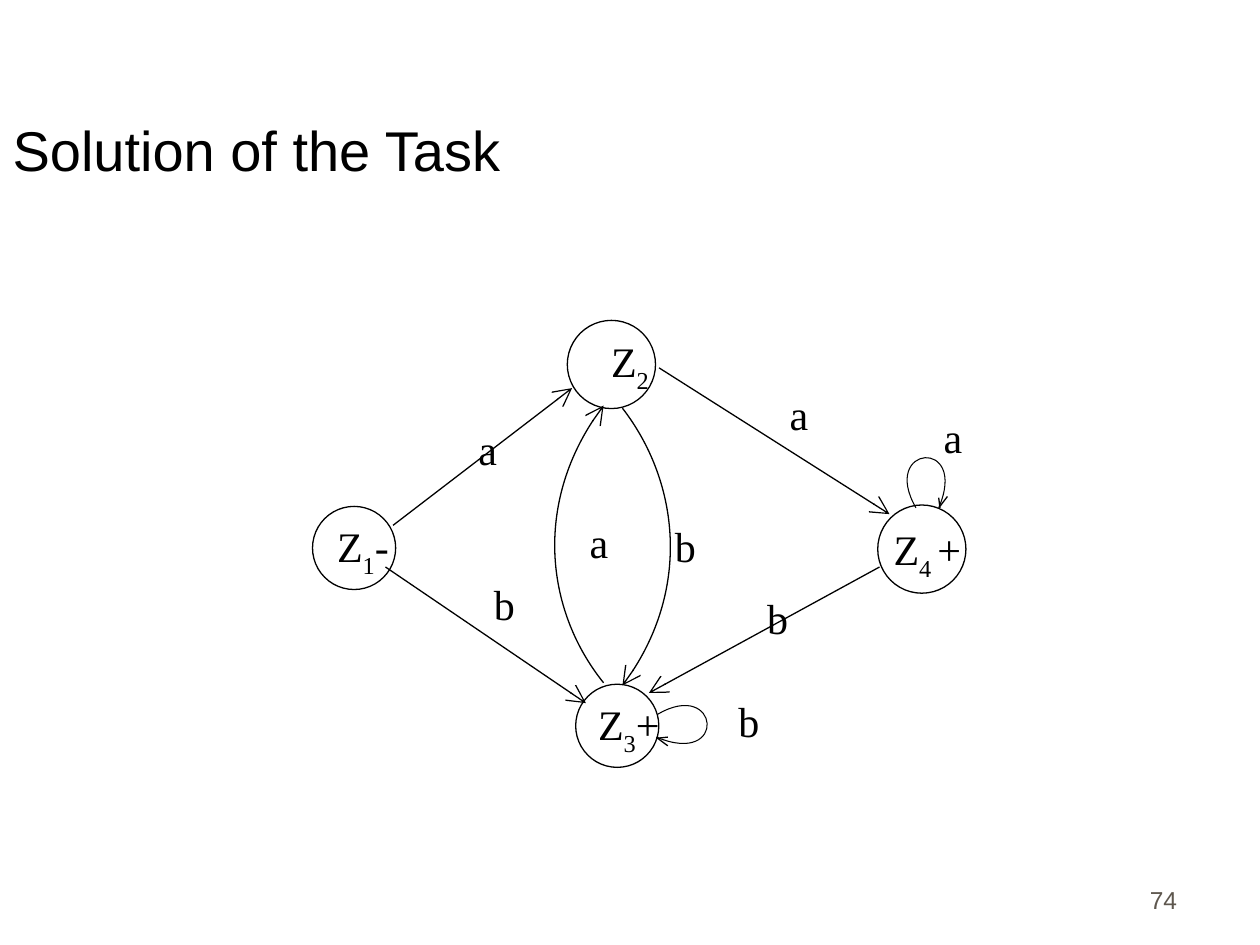
from lxml import etree
from pptx import Presentation
from pptx import util as u
from pptx.dml.color import RGBColor
from pptx.enum import shapes, text
from pptx.oxml import ns

COLORS = {"ink": "000000", "paper": "FFFFFF", "number": "5E574E"}
SERIF, SANS = "Times New Roman", "Arial"

# States: circle left, top, diameter; label left, top; (text, is subscript) spans
STATES = [
    (178.6, 289.4, 47.5, 179.3, 293.8, [("Z", False), ("1", True), ("-", False)]),
    (324.2, 183.1, 50.4, 331.9, 187.9, [("Z", False), ("2", True)]),
    (329, 391, 47.5, 331.2, 395.5, [("Z", False), ("3", True), ("+", False)]),
    (501.6, 288.6, 50.4, 501.8, 295.5, [("Z", False), ("4 ", True), ("+", False)]),
]
# Straight transitions: from, to
STRAIGHT = [
    ((376.6, 210.2), (508.3, 293.8)),
    ((224.6, 300.2), (326.9, 221.8)),
    ((220.3, 324), (334.8, 401.8)),
    ((502.6, 324), (370.8, 396)),
]
# Curved transitions between Z2 and Z3: cubic control points
CURVED = [
    [(344.9, 390.2), (312.5, 349.9), (304.6, 284.4), (344.9, 231.8)],
    [(355.7, 233.3), (387.4, 274.3), (395.3, 339.8), (355.7, 391.7)],
]
# Loops: cubic control points, then the two strokes of the arrowhead
LOOPS = [
    ([(375.8, 408.2), (411.1, 387.4), (416.2, 438.5), (375.1, 421.2)],
     [[(375.8, 421.9), (381.6, 426.2)], [(381.6, 421.2), (375.1, 421.9)]]),
    ([(523.4, 290.2), (502.6, 254.2), (553.7, 249.8), (536.4, 290.2)],
     [[(537.1, 289.4), (541.4, 283.7)], [(536.4, 284.4), (537.1, 290.2)]]),
]
# Transition labels: text, left, top
LABELS = [
    ("a", 314.1, 291.6), ("a", 428.4, 218.2), ("a", 516.4, 231.4),
    ("a", 250.6, 238.5), ("b", 260.1, 326.9), ("b", 363.6, 293.8),
    ("b", 399.8, 394.1), ("b", 416.2, 334.8),
]
LABEL_WIDTH, LABEL_HEIGHT, STATE_HEIGHT = 56.2, 36, 41


def color(name):
    return RGBColor.from_string(COLORS[name])


def style_line(shape, width=0.75, arrow=False):
    shape.line.color.rgb = color("ink")
    shape.line.width = u.Pt(width)
    if arrow:
        outline = shape.line._get_or_add_ln()
        etree.SubElement(outline, ns.qn("a:tailEnd"), type="arrow", w="lg", len="lg")


def add_path(parent, points, width=0.75, arrow=False):
    """Draw a line through two points, or a cubic curve through four."""
    start, *rest = [(u.Pt(x), u.Pt(y)) for x, y in points]
    builder = parent.shapes.build_freeform(*start)
    builder.add_line_segments(rest, close=False)
    outline = builder.convert_to_shape()
    if len(rest) == 3:
        segments = list(outline._element.iter(ns.qn("a:lnTo")))
        curve = etree.SubElement(segments[0].getparent(), ns.qn("a:cubicBezTo"))
        for segment in segments:
            curve.append(segment[0])
            segment.getparent().remove(segment)
    outline.shadow.inherit = False
    outline.fill.background()
    style_line(outline, width, arrow)


def add_text(page, spans, place, size, font, ink, align, anchor=text.MSO_ANCHOR.TOP):
    box = page.shapes.add_textbox(*map(u.Pt, place))
    box.text_frame.word_wrap = True
    box.text_frame.vertical_anchor = anchor
    para = box.text_frame.paragraphs[0]
    para.alignment = align
    para.font.size = u.Pt(size)
    para.font.name = font
    para.font.color.rgb = color(ink)
    for words, subscript in spans:
        span = para.add_run()
        span.text = words
        if subscript:
            span._r.get_or_add_rPr().set("baseline", "-30000")


def add_label(page, spans, left, top, height):
    add_text(page, spans, (left, top, LABEL_WIDTH, height), 24, SERIF, "ink",
             text.PP_ALIGN.CENTER)


def main():
    deck = Presentation()
    deck.slide_width, deck.slide_height = u.Pt(720), u.Pt(540)
    page = deck.slides.add_slide(deck.slide_layouts[5])

    # Title
    title = page.shapes.title
    title.left, title.top, title.width, title.height = map(u.Pt, (0, 18, 612, 90))
    title.text = "Solution of the Task"
    title.text_frame.vertical_anchor = text.MSO_ANCHOR.BOTTOM
    title.text_frame.auto_size = text.MSO_AUTO_SIZE.NONE
    para = title.text_frame.paragraphs[0]
    para.alignment = text.PP_ALIGN.LEFT
    para.font.size, para.font.name = u.Pt(32), SANS
    para.font.color.rgb = color("ink")

    # State circles
    for left, top, diameter, *_ in STATES:
        circle = page.shapes.add_shape(shapes.MSO_SHAPE.OVAL,
                                       *map(u.Pt, (left, top, diameter, diameter)))
        circle.shadow.inherit = False
        circle.fill.solid()
        circle.fill.fore_color.rgb = color("paper")
        style_line(circle)

    # Transitions
    for start, end in STRAIGHT:
        edge = page.shapes.add_connector(shapes.MSO_CONNECTOR.STRAIGHT,
                                         *map(u.Pt, start + end))
        style_line(edge, arrow=True)
        etree.SubElement(edge._element.spPr, ns.qn("a:effectLst"))
    for points in CURVED:
        add_path(page, points, arrow=True)
    for points, strokes in LOOPS:
        loop = page.shapes.add_group_shape()
        add_path(loop, points, width=0.6)
        for stroke in strokes:
            add_path(loop, stroke)

    # State and transition labels
    for *_, left, top, spans in STATES:
        add_label(page, spans, left, top, STATE_HEIGHT)
    for words, left, top in LABELS:
        add_label(page, [(words, False)], left, top, LABEL_HEIGHT)

    # Page number
    add_text(page, [("74", False)], (529.9, 490.3, 149.8, 36), 14, SANS, "number",
             text.PP_ALIGN.RIGHT, text.MSO_ANCHOR.BOTTOM)

    deck.save("out.pptx")


if __name__ == "__main__":
    main()
